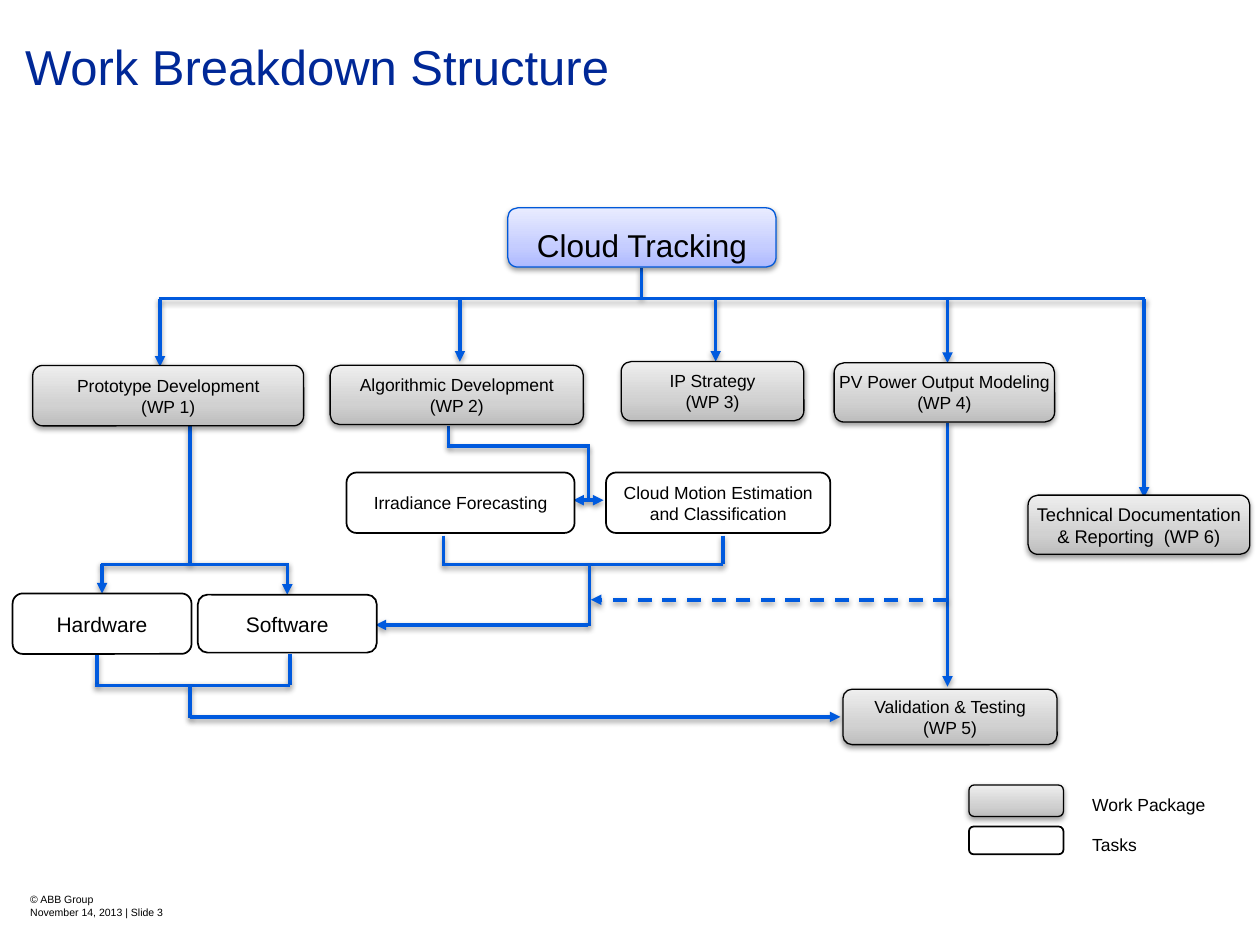
from lxml.etree import SubElement
from pptx import Presentation
from pptx.dml.color import RGBColor
from pptx.enum.dml import MSO_LINE
from pptx.enum.shapes import MSO_CONNECTOR, MSO_SHAPE
from pptx.enum.text import MSO_ANCHOR, PP_ALIGN
from pptx.oxml.ns import qn
from pptx.util import Inches, Pt

COLORS = {"title": "002897", "text": "000000", "line": "005ADE",
          "root_edge": "0058D9", "task": "FFFFFF"}
GRADIENTS = {"root": ["ADB9FF", "C5CDFF", "E9ECFF"],
             "package": ["BDBDBD", "D1D1D1", "EEEEEE"]}


class WbsSlide:
    """Holds the style and the current slide of the work breakdown chart."""

    def __init__(self, prs, font="Arial"):
        self.s = prs.slides.add_slide(prs.slide_layouts[6])
        self.font = font

    def color(self, name):
        return RGBColor.from_string(COLORS[name])

    def add_lines(self, tf, lines, size, color="text", align=PP_ALIGN.LEFT,
                  spacing=1.0, gap=0, insets=(0, 0, 0, 0)):
        tf.margin_left, tf.margin_top, tf.margin_right, tf.margin_bottom = map(Inches, insets)
        for i, line in enumerate(lines):
            p = tf.paragraphs[0] if i == 0 else tf.add_paragraph()
            p.alignment = align
            p.line_spacing = spacing
            p.space_before = Pt(gap if i else 0)
            r = p.add_run()
            r.text = line
            r.font.name, r.font.size = self.font, Pt(size)
            r.font.color.rgb = self.color(color)

    def text(self, at, lines, size, wrap=True, anchor=MSO_ANCHOR.TOP, **style):
        tf = self.s.shapes.add_textbox(*map(Inches, at)).text_frame
        tf.word_wrap = wrap
        tf.vertical_anchor = anchor
        self.add_lines(tf, lines, size, **style)

    def shadow(self, effects):
        shadow = SubElement(effects, qn("a:outerShdw"), blurRad="40000",
                            dist="20000", dir="5400000", rotWithShape="0")
        black = SubElement(shadow, qn("a:srgbClr"), val="000000")
        SubElement(black, qn("a:alpha"), val="38000")

    def gradient(self, sp, hexes):
        sp.fill.gradient()
        sp.fill.gradient_angle = 90
        stops = sp._element.spPr.find(".//" + qn("a:gsLst"))
        stops.clear()
        for pos, value in zip((0, 35, 100), hexes):
            stop = SubElement(stops, qn("a:gs"), pos=str(pos * 1000))
            SubElement(stop, qn("a:srgbClr"), val=value)

    def box(self, kind, at, lines=(), size=10, anchor=MSO_ANCHOR.MIDDLE, spacing=1.0):
        sp = self.s.shapes.add_shape(MSO_SHAPE.ROUNDED_RECTANGLE, *map(Inches, at))
        sp.shadow.inherit = False
        sp.line.color.rgb = self.color("root_edge" if kind == "root" else "text")
        sp.line.width = Pt(1 if kind == "task" else 0.75)
        if kind == "task":
            sp.fill.solid()
            sp.fill.fore_color.rgb = self.color("task")
        else:
            self.gradient(sp, GRADIENTS[kind])
            self.shadow(sp._element.spPr.find(qn("a:effectLst")))
        tf = sp.text_frame
        tf.word_wrap = True
        tf.vertical_anchor = anchor
        self.add_lines(tf, lines, size, align=PP_ALIGN.CENTER, spacing=spacing)

    def line(self, start, end, arrows=(), dashed=False):
        cx = self.s.shapes.add_connector(MSO_CONNECTOR.STRAIGHT, *map(Inches, start + end))
        cx.line.color.rgb = self.color("line")
        cx.line.width = Pt(2)
        if dashed:
            cx.line.dash_style = MSO_LINE.DASH
        for side in arrows:
            SubElement(cx.line._get_or_add_ln(), qn(f"a:{side}End"), type="triangle")
        self.shadow(SubElement(cx._element.spPr, qn("a:effectLst")))


def draw_lines(wbs):
    bus_y = 2.37
    wbs.line((5.09, 2.13), (5.09, bus_y))
    wbs.line((1.26, bus_y), (9.09, bus_y))
    for x, y in [(1.27, 2.91), (3.65, 2.87), (5.68, 2.87), (7.52, 2.88), (9.08, 3.95)]:
        wbs.line((x, bus_y), (x, y), ["tail"])

    plain = [
        ((1.51, 3.38), (1.51, 4.48)), ((0.8, 4.48), (2.29, 4.48)),
        ((3.56, 3.38), (3.56, 3.54)), ((3.55, 3.54), (4.68, 3.54)),
        ((4.67, 3.54), (4.67, 3.97)),
        ((3.52, 4.25), (3.52, 4.48)), ((5.74, 4.25), (5.74, 4.48)),
        ((3.51, 4.48), (5.74, 4.48)), ((4.68, 4.48), (4.68, 4.97)),
        ((0.77, 5.19), (0.77, 5.44)), ((2.3, 5.19), (2.3, 5.44)),
        ((0.75, 5.44), (2.3, 5.44)), ((1.51, 5.44), (1.51, 5.7)),
    ]
    for start, end in plain:
        wbs.line(start, end)

    pointed = [
        ((0.81, 4.48), (0.81, 4.71)), ((2.28, 4.48), (2.28, 4.72)),
        ((4.67, 4.96), (2.98, 4.96)), ((1.51, 5.69), (6.67, 5.69)),
        ((7.52, 3.36), (7.52, 5.45)),
    ]
    for start, end in pointed:
        wbs.line(start, end, ["tail"])
    wbs.line((4.79, 3.97), (4.55, 3.97), ["head", "tail"])
    wbs.line((7.52, 4.76), (4.69, 4.76), ["tail"], dashed=True)


def draw_boxes(wbs):
    wbs.box("root", (4.03, 1.65, 2.13, 0.47), ["Cloud Tracking"], 18,
            anchor=MSO_ANCHOR.TOP, spacing=1.4)
    packages = [
        ((0.26, 2.9, 2.15, 0.48), ["Prototype Development", "(WP 1)"], 10),
        ((2.62, 2.9, 2.01, 0.47), ["Algorithmic Development", "(WP 2)"], 10),
        ((4.93, 2.87, 1.45, 0.47), ["IP Strategy", "(WP 3)"], 10),
        ((6.62, 2.88, 1.75, 0.47), ["PV Power Output Modeling (WP 4)"], 10),
        ((6.69, 5.47, 1.7, 0.44), ["Validation & Testing", "(WP 5)"], 10),
        ((8.16, 3.93, 1.76, 0.47), ["Technical Documentation", "& Reporting  (WP 6)"], 10.5),
        ((7.69, 6.23, 0.75, 0.25), [], 10),
    ]
    tasks = [
        ((2.75, 3.75, 1.81, 0.48), ["Irradiance Forecasting"], 10),
        ((4.81, 3.75, 1.78, 0.48), ["Cloud Motion Estimation and Classification"], 10),
        ((0.1, 4.71, 1.42, 0.48), ["Hardware"], 12),
        ((1.57, 4.72, 1.42, 0.46), ["Software"], 12),
        ((7.69, 6.56, 0.75, 0.22), [], 10),
    ]
    for kind, boxes in (("package", packages), ("task", tasks)):
        for at, lines, size in boxes:
            wbs.box(kind, at, lines, size)


def main():
    prs = Presentation()
    prs.slide_width, prs.slide_height = Inches(10), Inches(7.5)
    wbs = WbsSlide(prs)
    wbs.text((0, 0, 9.76, 1.23), ["Work Breakdown Structure"], 28, color="title",
             spacing=0.9, insets=(0.2, 0.34, 0.24, 0))
    draw_lines(wbs)
    draw_boxes(wbs)
    wbs.text((8.57, 6.17, 1.11, 0.69), ["Work Package", "Tasks"], 10, wrap=False,
             spacing=1.5, gap=5, insets=(0.1, 0.05, 0.1, 0.05))
    wbs.text((0.24, 6.78, 2.6, 0.72), ["© ABB Group", "November 14, 2013 | Slide 3"], 6,
             anchor=MSO_ANCHOR.BOTTOM, insets=(0, 0, 0, 0.22))
    prs.save("out.pptx")


if __name__ == "__main__":
    main()
